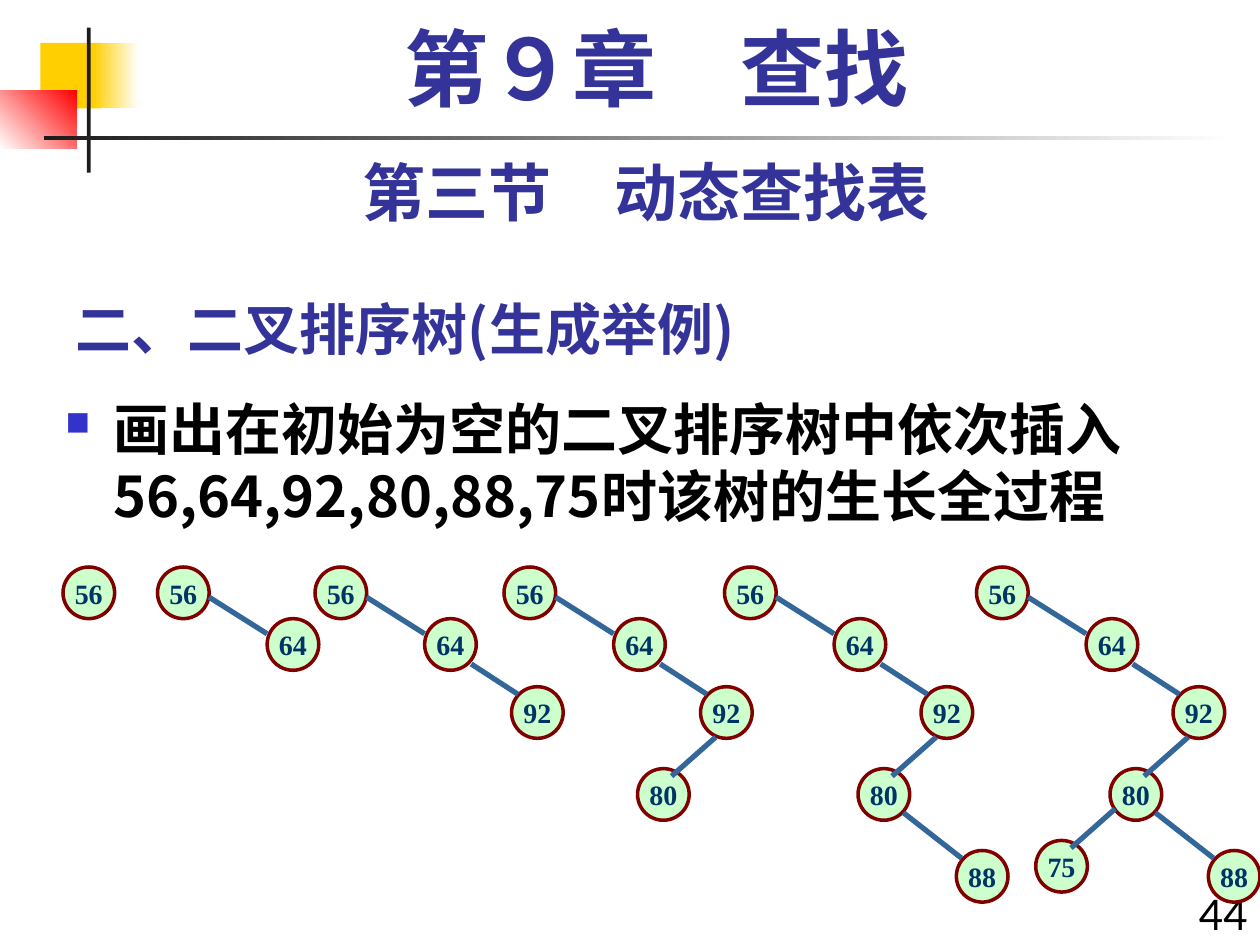
from collections import namedtuple

from pptx import Presentation
from pptx.dml.color import RGBColor
from pptx.enum.shapes import MSO_CONNECTOR as CONNECTOR, MSO_SHAPE as SHAPE
from pptx.enum.text import MSO_ANCHOR as ANCHOR, PP_ALIGN as ALIGN
from pptx.oxml.ns import qn
from pptx.util import Inches, Pt
from lxml.etree import SubElement

# The slide is a grid of 10 columns by 7.5 rows
COLS, ROWS = 10, 7.5
SLIDE_W, SLIDE_H = Inches(10), Inches(7.5)
Box = namedtuple("Box", "left top width height")

YELLOW = RGBColor(0xFF, 0xCF, 0x01)
RED = RGBColor(0xFF, 0x00, 0x00)
WHITE = RGBColor(0xFF, 0xFF, 0xFF)
BLACK = RGBColor(0x00, 0x00, 0x00)
CHARCOAL = RGBColor(0x1C, 0x1C, 0x1C)
INDIGO = RGBColor(0x33, 0x33, 0x99)
NODE_FILL = RGBColor(0xCC, 0xFF, 0xCC)
NODE_LINE = RGBColor(0x80, 0x00, 0x00)
NODE_TEXT = RGBColor(0x00, 0x33, 0x66)
EDGE_BLUE = RGBColor(0x33, 0x66, 0x99)
BULLET_BLUE = "3333CC"

CJK, SANS, SERIF = "Noto Sans CJK SC", "Lato", "Times New Roman"

# Position of each key's node in a tree, and the edge from its parent
NODE_SIZE = 0.41
NODES = {
    56: (0, 0),
    64: (0.87, 0.41),
    92: (1.56, 0.95),
    80: (1.06, 1.6),
    88: (1.84, 2.25),
    75: (0.47, 2.17),
}
EDGES = {
    64: (0.41, 0.24, 0.87, 0.53),
    92: (1.24, 0.77, 1.61, 1.01),
    80: (1.68, 1.35, 1.33, 1.66),
    88: (1.42, 1.95, 1.88, 2.31),
    75: (1.1, 1.92, 0.75, 2.23),
}
TREE_LEFTS = (0.5, 1.25, 2.5, 4, 5.75, 7.75)


def col(value):
    return round(SLIDE_W * value / COLS)


def row(value):
    return round(SLIDE_H * value / ROWS)


def place(box):
    return col(box.left), row(box.top), col(box.width), row(box.height)


def style_runs(paragraph, size, font, color, bold=True):
    for run in paragraph.runs:
        run.font.size, run.font.bold = Pt(size), bold
        run.font.name = font
        run.font.color.rgb = color
        east_asian = SubElement(run.font._element, qn("a:ea"))
        east_asian.set("typeface", CJK)


def add_text(slide, box, text, size, font, color, bold=True,
             align=ALIGN.LEFT, anchor=ANCHOR.TOP):
    frame = slide.shapes.add_textbox(*place(box)).text_frame
    frame.word_wrap = True
    frame.vertical_anchor = anchor
    frame.text = text
    paragraph = frame.paragraphs[0]
    paragraph.alignment = align
    style_runs(paragraph, size, font, color, bold)
    return paragraph


def add_bar(slide, box, start, end=None, angle=0):
    bar = slide.shapes.add_shape(SHAPE.RECTANGLE, *place(box))
    bar.shadow.inherit = False
    bar.line.fill.background()
    if end is None:
        bar.fill.solid()
        bar.fill.fore_color.rgb = start
        return
    bar.fill.gradient()
    bar.fill.gradient_angle = angle
    for stop, color in zip(bar.fill.gradient_stops, (start, end)):
        stop.color.rgb = color


def add_ornament(slide, box):
    """Coloured squares with crossing rules, within the header box."""
    def part(x, y, width, height):
        return Box(box.left + x, box.top + y, width, height)

    add_bar(slide, part(0.32, 0.12, 0.48, 0.52), YELLOW)
    add_bar(slide, part(0.74, 0.12, 0.36, 0.52), YELLOW, WHITE)
    add_bar(slide, part(0, 0.5, 0.61, 0.46), WHITE, RED, angle=45)
    add_bar(slide, part(0.69, 0, 0.03, box.height), CHARCOAL)
    add_bar(slide, part(0.35, 0.86, box.width - 0.55, 0.03), CHARCOAL, WHITE)


def add_exercise(slide, box, text):
    """Body text with a square bullet and a hanging indent."""
    paragraph = add_text(slide, box, text, 32, CJK, BLACK)
    props = paragraph._p.get_or_add_pPr()
    props.set("marL", str(col(0.38)))
    props.set("indent", str(-col(0.38)))
    bullet_color = SubElement(props, qn("a:buClr"))
    SubElement(bullet_color, qn("a:srgbClr")).set("val", BULLET_BLUE)
    SubElement(props, qn("a:buSzPct")).set("val", "60000")
    SubElement(props, qn("a:buChar")).set("char", "■")


def add_node(slide, box, key):
    node = slide.shapes.add_shape(SHAPE.OVAL, *place(box))
    node.shadow.inherit = False
    node.fill.solid()
    node.fill.fore_color.rgb = NODE_FILL
    node.line.color.rgb = NODE_LINE
    node.line.width = Pt(2)
    frame = node.text_frame
    frame.word_wrap = False
    frame.vertical_anchor = ANCHOR.MIDDLE
    frame.text = str(key)
    frame.paragraphs[0].alignment = ALIGN.CENTER
    style_runs(frame.paragraphs[0], 16, SERIF, NODE_TEXT)


def add_tree(slide, left, top, keys):
    """One stage of growth: the nodes of the keys and their edges."""
    for key in keys:
        x, y = NODES[key]
        add_node(slide, Box(left + x, top + y, NODE_SIZE, NODE_SIZE), key)
        if key in EDGES:
            x1, y1, x2, y2 = EDGES[key]
            edge = slide.shapes.add_connector(
                CONNECTOR.STRAIGHT, col(left + x1), row(top + y1),
                col(left + x2), row(top + y2))
            edge.line.color.rgb = EDGE_BLUE
            edge.line.width = Pt(3)
            SubElement(edge._element.spPr, qn("a:effectLst"))


def main():
    deck = Presentation()
    deck.slide_width, deck.slide_height = SLIDE_W, SLIDE_H
    slide = deck.slides.add_slide(deck.slide_layouts[6])

    # Header and headings
    add_ornament(slide, Box(0, 0.22, COLS, 1.15))
    add_text(slide, Box(0.5, 2.17, 6.25, 0.75), "二、二叉排序树(生成举例)",
             32, CJK, INDIGO, anchor=ANCHOR.BOTTOM)
    add_text(slide, Box(9.33, 7, 0.67, 0.5), "44", 24, SANS, BLACK,
             bold=False, align=ALIGN.RIGHT)
    add_text(slide, Box(0.5, 1.17, 9.25, 0.7), "第三节　动态查找表",
             36, SANS, INDIGO, align=ALIGN.CENTER)
    add_exercise(slide, Box(0.42, 3.08, 9.58, 4.42),
                 "画出在初始为空的二叉排序树中依次插入"
                 "56,64,92,80,88,75时该树的生长全过程")
    chapter = add_text(slide, Box(0.67, 0.17, 9.08, 0.83), "第９章　查找",
                       48, SERIF, INDIGO, align=ALIGN.CENTER)
    chapter.line_spacing = 0.9

    # Each tree holds one key more than the tree before it
    keys = list(NODES)
    for count, left in enumerate(TREE_LEFTS, start=1):
        add_tree(slide, left, 4.5, keys[:count])

    deck.save("out.pptx")


if __name__ == "__main__":
    main()
